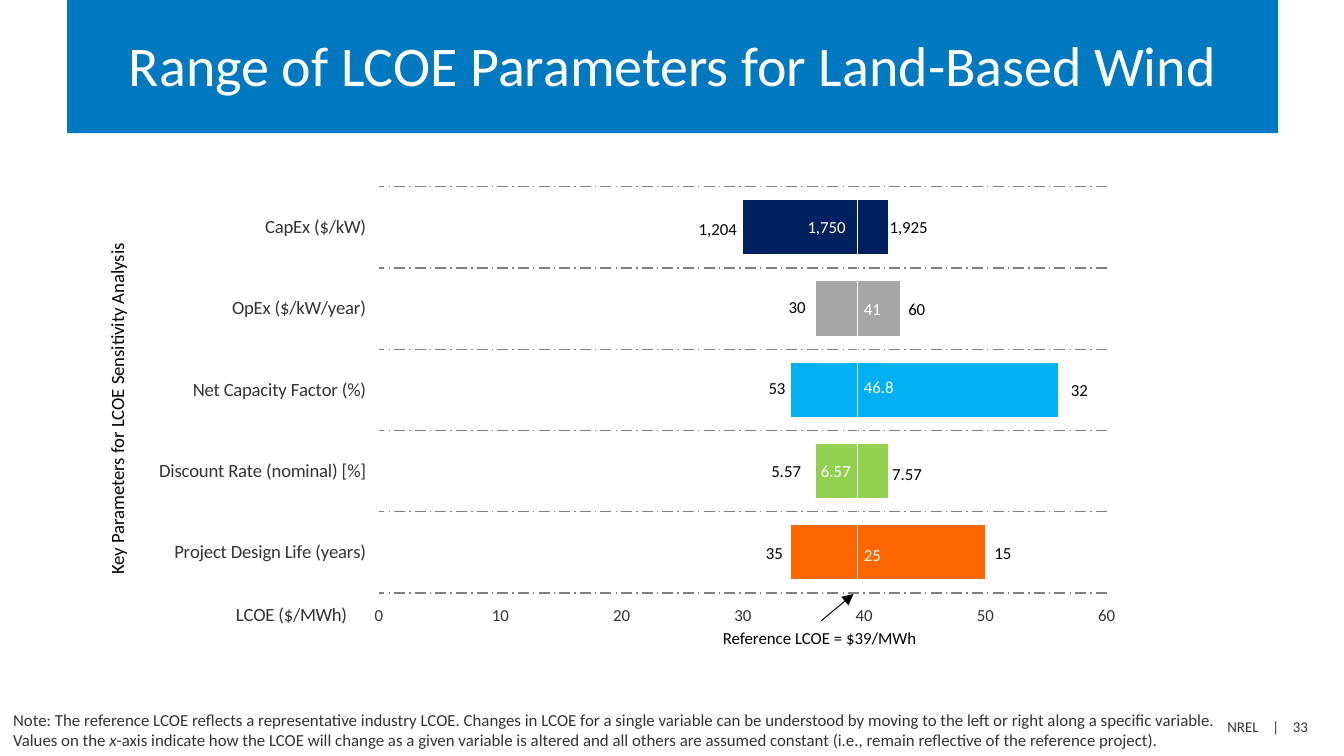
"""Build a slide with a stacked bar chart of cost ranges for land-based wind."""
from dataclasses import dataclass

import lxml.etree
import pptx
import pptx.chart.data
import pptx.dml.color
import pptx.enum.chart
import pptx.enum.dml
import pptx.enum.shapes
import pptx.enum.text
import pptx.oxml
import pptx.oxml.ns
import pptx.util

COLS, ROWS = 100, 56.25
ALIGN = pptx.enum.text.PP_ALIGN


@dataclass(frozen=True)
class Theme:
    font: str = "Calibri"
    blue: str = "0079C1"
    white: str = "FFFFFF"
    black: str = "000000"
    text: str = "333333"
    grid: str = "7F7F7F"
    head: float = 30
    body: float = 10
    small: float = 9
    foot: float = 8


@dataclass(frozen=True)
class Box:
    left: float
    top: float
    width: float
    height: float

    def place(self) -> list[int]:
        return [cell(n) for n in (self.left, self.top, self.width, self.height)]


@dataclass(frozen=True)
class Run:
    text: str
    slant: bool = False
    gap: int = 0


@dataclass(frozen=True)
class Label:
    text: str
    left: float
    drop: float = 0


@dataclass(frozen=True)
class Bar:
    name: str
    start: int
    span: int
    color: str
    low: Label
    mid: Label
    high: Label


THEME = Theme()
CHART = Box(7.2, 12.1, 77.8, 38)
PLOT = Box(21, 1.79, 54.15, 30.25)
WIDTHS = {2: 3.3, 4: 4.2, 5: 4.9}
BARS = [
    Bar("CapEx ($/kW)", 30, 12, "002060",
        Label("1,204", 51, 0.13), Label("1,750", 59.1), Label("1,925", 65.2)),
    Bar("OpEx ($/kW/year)", 36, 7, "A6A6A6",
        Label("30", 57.7, -0.1), Label("41", 63.3), Label("60", 66.6)),
    Bar("Net Capacity Factor (%)", 34, 22, "00B0F0",
        Label("53", 56.2, -0.15), Label("46.8", 63.3, -0.25), Label("32", 78.7)),
    Bar("Discount Rate (nominal) [%]", 36, 6, "92D050",
        Label("5.57", 56.4), Label("6.57", 60.1), Label("7.57", 65.4, 0.2)),
    Bar("Project Design Life (years)", 34, 16, "FF6600",
        Label("35", 56), Label("25", 63.3, 0.15), Label("15", 73)),
]
NOTE = [
    Run("Note: The reference LCOE reflects a representative industry LCOE. Changes in LCOE "
        "for a single variable can be understood by moving to the left or right along a "
        "specific variable. Values on the "),
    Run("x", True),
    Run("-axis indicate how the LCOE will change as a given variable is altered and all "
        "others are assumed constant (i.e., remain reflective of the reference project)."),
]
SPACE = Run(" ", gap=543)
FOOT = [Run("NREL"), SPACE, Run("|"), SPACE, Run("33")]


def cell(count: float) -> int:
    return pptx.util.Inches(count / 10)


def tint(code: str) -> pptx.dml.color.RGBColor:
    return pptx.dml.color.RGBColor.from_string(code)


def put(target, **values) -> None:
    for key, value in values.items():
        setattr(target, key, value)


def style(font, size: float, color: str, slant: bool = False) -> None:
    put(font, name=THEME.font, size=pptx.util.Pt(size), bold=False, italic=slant)
    font.color.rgb = tint(color)


def paint(fill, color: str) -> None:
    fill.solid()
    fill.fore_color.rgb = tint(color)


def write(slide, box: Box, runs: list[Run], size: float, color: str,
          wrap: bool = False, align=ALIGN.LEFT, turn: float = 0) -> None:
    shape = slide.shapes.add_textbox(*box.place())
    put(shape, rotation=turn)
    put(shape.text_frame, word_wrap=wrap)
    para = shape.text_frame.paragraphs[0]
    put(para, alignment=align)
    for part in runs:
        run = para.add_run()
        put(run, text=part.text)
        style(run.font, size, color, part.slant)
        if part.gap:
            run._r.get_or_add_rPr().set("spc", str(part.gap))


def banner(slide, box: Box, text: str) -> None:
    shape = slide.shapes.add_shape(pptx.enum.shapes.MSO_SHAPE.RECTANGLE, *box.place())
    shape.shadow.inherit = False
    paint(shape.fill, THEME.blue)
    shape.line.fill.background()
    frame = shape.text_frame
    put(frame, text=text, word_wrap=True, margin_top=cell(1.3), margin_bottom=cell(0.5),
        vertical_anchor=pptx.enum.text.MSO_ANCHOR.MIDDLE)
    para = frame.paragraphs[0]
    put(para, alignment=ALIGN.CENTER, line_spacing=pptx.util.Pt(28))
    style(para.runs[0].font, THEME.head, THEME.white)


def rule(slide, start: tuple[float, float], end: tuple[float, float],
         color: str, width: float, arrow: bool = False) -> None:
    line = slide.shapes.add_connector(pptx.enum.shapes.MSO_CONNECTOR.STRAIGHT,
                                      *map(cell, start + end))
    line.line.color.rgb = tint(color)
    line.line.width = pptx.util.Pt(width)
    if arrow:
        tail = lxml.etree.SubElement(line.line._get_or_add_ln(), pptx.oxml.ns.qn("a:tailEnd"))
        tail.set("type", "triangle")
    lxml.etree.SubElement(line._element.spPr, pptx.oxml.ns.qn("a:effectLst"))


def layout(parent, index: int, values: dict[str, object]) -> None:
    for old in parent.findall(pptx.oxml.ns.qn("c:layout")):
        parent.remove(old)
    outer = pptx.oxml.parse_xml(f"<c:layout {pptx.oxml.ns.nsdecls('c')}><c:manualLayout/></c:layout>")
    for key, value in values.items():
        item = lxml.etree.SubElement(outer[0], pptx.oxml.ns.qn(f"c:{key}"))
        item.set("val", str(value))
    parent.insert(index, outer)


def graph(slide, bars: list[Bar]) -> None:
    order = bars[::-1]
    data = pptx.chart.data.CategoryChartData()
    data.categories = [bar.name for bar in order]
    data.add_series("Series 1", [bar.start for bar in order])
    data.add_series("Series 2", [bar.span for bar in order])
    kinds = pptx.enum.chart
    chart = slide.shapes.add_chart(kinds.XL_CHART_TYPE.BAR_STACKED, *CHART.place(), data).chart
    put(chart, has_legend=False, has_title=False)
    style(chart.font, THEME.body, THEME.text)
    plot = chart.plots[0]
    put(plot, gap_width=50, overlap=100, vary_by_categories=False)
    blank, spans = plot.series
    blank.format.fill.background()
    for index, bar in enumerate(order):
        paint(spans.points[index].format.fill, bar.color)
    names, costs = chart.category_axis, chart.value_axis
    for axis, size in ((names, THEME.body), (costs, THEME.small)):
        put(axis, tick_label_position=kinds.XL_TICK_LABEL_POSITION.LOW,
            major_tick_mark=kinds.XL_TICK_MARK.OUTSIDE, has_major_gridlines=axis is names)
        axis.format.line.fill.background()
        style(axis.tick_labels.font, size, THEME.text)
    mesh = names.major_gridlines.format.line
    mesh.color.rgb = tint(THEME.grid)
    put(mesh, width=pptx.util.Pt(0.75), dash_style=pptx.enum.dml.MSO_LINE.LONG_DASH_DOT)
    put(costs, minimum_scale=0, maximum_scale=60, major_unit=10, has_title=True)
    put(costs.tick_labels, number_format="#,##0", number_format_is_linked=False)
    title = costs.axis_title
    title.text_frame.text = "LCOE ($/MWh)"
    style(title.text_frame.paragraphs[0].runs[0].font, THEME.body, THEME.text)
    edge = {"xMode": "edge", "yMode": "edge"}
    layout(title._element, 1, edge | {"x": 10.1 / CHART.width, "y": 32.45 / CHART.height})
    layout(chart._chartSpace.chart.plotArea, 0, {"layoutTarget": "inner"} | edge | {
        "x": PLOT.left / CHART.width, "y": PLOT.top / CHART.height,
        "w": PLOT.width / CHART.width, "h": PLOT.height / CHART.height})


def marks(slide, bars: list[Bar]) -> None:
    step = PLOT.height / len(bars)
    for index, bar in enumerate(bars):
        top = CHART.top + PLOT.top + step * (index + 0.5) - 1.25
        for label, color in ((bar.low, THEME.black), (bar.mid, THEME.white), (bar.high, THEME.black)):
            box = Box(label.left, top + label.drop, WIDTHS[len(label.text)], 2.5)
            write(slide, box, [Run(label.text)], THEME.small, color)


def main() -> None:
    deck = pptx.Presentation()
    put(deck, slide_width=cell(COLS), slide_height=cell(ROWS))
    slide = deck.slides.add_slide(deck.slide_layouts[6])
    write(slide, Box(73.4, 52.9, 24.9, 2.4), FOOT, THEME.foot, THEME.text, True, ALIGN.RIGHT)
    banner(slide, Box(5, 0, 90.1, 9.9), "Range of LCOE Parameters for Land-Based Wind")
    write(slide, Box(0, 52.3, 92.3, 4), NOTE, THEME.small, THEME.text, True)
    graph(slide, BARS)
    write(slide, Box(-4.8, 28.9, 27, 2.7), [Run("Key Parameters for LCOE Sensitivity Analysis")],
          THEME.body, THEME.black, turn=270)
    rule(slide, (63.8, 43.7), (63.8, 14.5), THEME.white, 1)
    marks(slide, BARS)
    write(slide, Box(52.8, 46.2, 16.6, 2.5), [Run("Reference LCOE = $39/MWh")],
          THEME.small, THEME.black)
    rule(slide, (61.1, 46.2), (63.5, 44.2), THEME.black, 0.5, True)
    deck.save("out.pptx")


if __name__ == "__main__":
    main()
